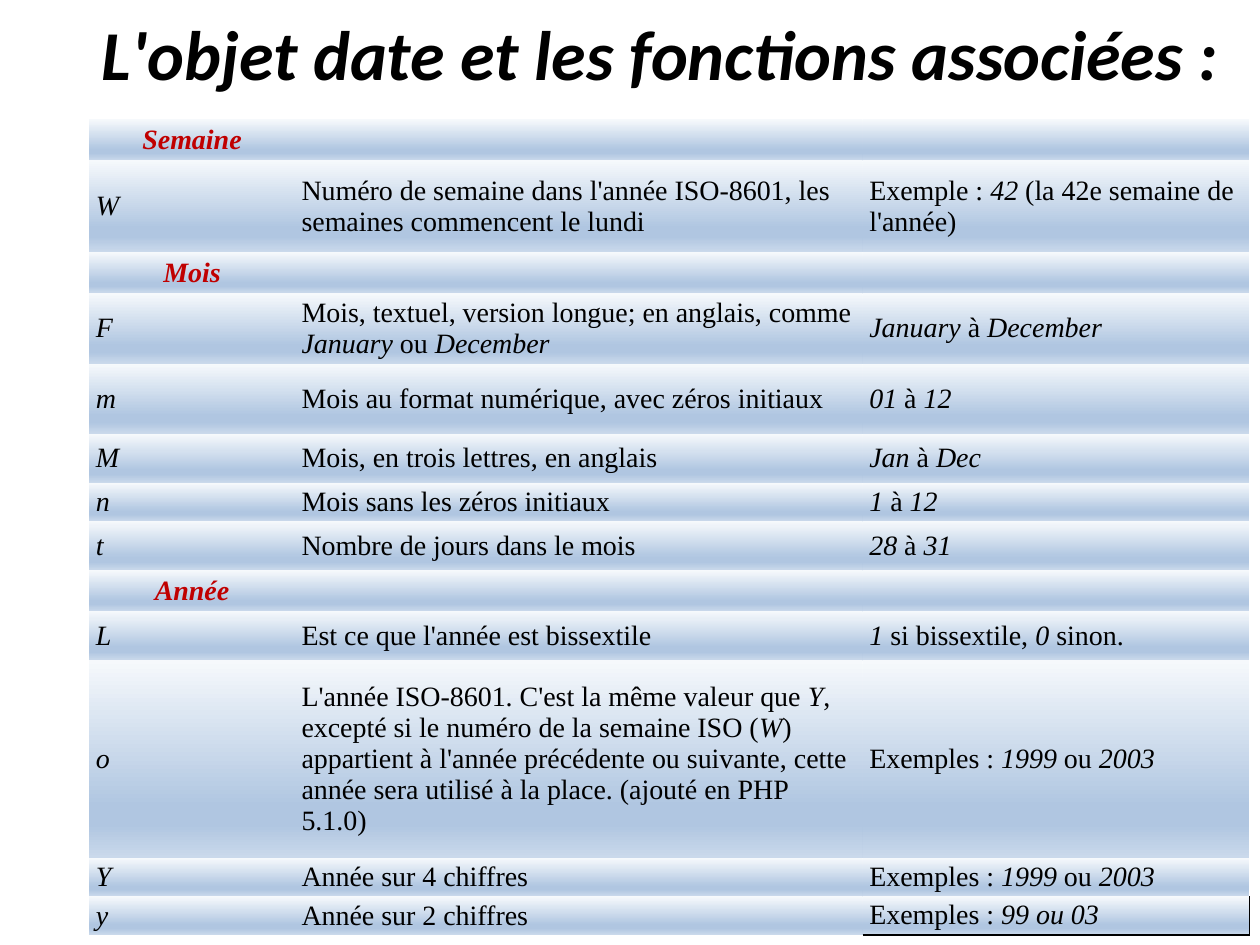
from dataclasses import dataclass

from lxml import etree
from pptx import Presentation
from pptx.dml.color import RGBColor
from pptx.enum.text import MSO_ANCHOR, PP_ALIGN
from pptx.oxml.ns import qn
from pptx.table import _Cell
from pptx.util import Pt

LEFT, CENTER = PP_ALIGN.LEFT, PP_ALIGN.CENTER
TOP, MIDDLE = MSO_ANCHOR.TOP, MSO_ANCHOR.MIDDLE
NO_STYLE = "{2D5ABB26-0587-4C30-8999-92F81FD0307C}"


@dataclass(frozen=True)
class Theme:
    title_font: str = "Calibri"
    table_font: str = "Times New Roman"
    title_size: int = 40
    table_size: int = 16
    text: str = "000000"
    heading: str = "C00000"
    gradient: tuple = ((0, "F6F9FC"), (74, "B0C6E1"), (83, "B0C6E1"), (100, "CAD9EB"))


@dataclass(frozen=True)
class Row:
    height: float
    code: str
    description: str = ""
    example: str = ""

    @property
    def is_heading(self) -> bool:
        return not self.description


THEME = Theme()
COLUMN_WIDTHS = (117.5, 324.5, 221)

# Asterisks enclose the italic parts
ROWS = (
    Row(22, "Semaine"),
    Row(52.5, "W", "Numéro de semaine dans l'année ISO-8601, les semaines commencent le lundi",
        "Exemple : *42* (la 42e semaine de l'année)"),
    Row(22, "Mois"),
    Row(40.5, "F", "Mois, textuel, version longue; en anglais, comme *January* ou *December*",
        "*January* à *December*"),
    Row(40, "m", "Mois au format numérique, avec zéros initiaux", "*01* à *12*"),
    Row(28, "M", "Mois, en trois lettres, en anglais", "*Jan* à *Dec*"),
    Row(22, "n", "Mois sans les zéros initiaux", "*1* à *12*"),
    Row(28, "t", "Nombre de jours dans le mois", "*28* à *31*"),
    Row(22, "Année"),
    Row(28, "L", "Est ce que l'année est bissextile", "*1* si bissextile, *0* sinon."),
    Row(113, "o", "L'année ISO-8601. C'est la même valeur que *Y*, excepté si le numéro de la "
        "semaine ISO (*W*) appartient à l'année précédente ou suivante, cette année sera "
        "utilisé à la place. (ajouté en PHP 5.1.0)", "Exemples : *1999* ou *2003*"),
    Row(22, "Y", "Année sur 4 chiffres", "Exemples : *1999* ou *2003*"),
    Row(22, "y", "Année sur 2 chiffres", "Exemples : *99 ou 03*"),
)


def add_run(paragraph, text: str, font_name: str, size: float, color: str,
            bold: bool, italic: bool) -> None:
    run = paragraph.add_run()
    run.text = text
    font = run.font
    font.name, font.size = font_name, Pt(size)
    font.bold, font.italic = bold, italic
    font.color.rgb = RGBColor.from_string(color)


def add_color(parent, color: str) -> None:
    etree.SubElement(parent, qn("a:srgbClr"), val=color)


def fill_gradient(cell: _Cell) -> None:
    properties = cell._tc.get_or_add_tcPr()
    gradient = etree.SubElement(properties, qn("a:gradFill"), rotWithShape="1")
    stops = etree.SubElement(gradient, qn("a:gsLst"))
    for position, color in THEME.gradient:
        add_color(etree.SubElement(stops, qn("a:gs"), pos=str(position * 1000)), color)
    etree.SubElement(gradient, qn("a:lin"), ang="5400000", scaled="0")


def add_borders(cell: _Cell, sides: tuple[str, ...]) -> None:
    """Borders come before the fill in the cell properties."""
    properties = cell._tc.get_or_add_tcPr()
    for side in sides:
        line = etree.SubElement(properties, qn(f"a:{side}"), w=str(Pt(1)))
        add_color(etree.SubElement(line, qn("a:solidFill")), THEME.text)


def write_cell(cell: _Cell, text: str, heading: bool, italic: bool) -> None:
    cell.margin_left = cell.margin_right = Pt(3.8)
    cell.margin_top = cell.margin_bottom = Pt(1.9)
    cell.vertical_anchor = MIDDLE
    paragraph = cell.text_frame.paragraphs[0]
    paragraph.alignment = CENTER if heading else LEFT
    color = THEME.heading if heading else THEME.text
    for index, part in enumerate(text.split("*")):
        if part:
            add_run(paragraph, part, THEME.table_font, THEME.table_size, color,
                    heading, italic or index % 2 == 1)
    if not text:
        # Keeps an empty cell from stretching its row
        etree.SubElement(paragraph._p, qn("a:endParaRPr"), sz=str(THEME.table_size * 100))


def add_title(slide, text: str) -> None:
    title = slide.shapes.title
    title.left, title.top, title.width, title.height = Pt(51), Pt(2), Pt(672), Pt(56)
    title.text_frame.vertical_anchor = MIDDLE
    paragraph = title.text_frame.paragraphs[0]
    paragraph.alignment = LEFT
    add_run(paragraph, text, THEME.title_font, THEME.title_size, THEME.text, True, True)


def add_format_table(slide, rows: tuple[Row, ...]) -> None:
    frame = slide.shapes.add_table(len(rows), len(COLUMN_WIDTHS), Pt(51), Pt(68.2),
                                   Pt(sum(COLUMN_WIDTHS)), Pt(sum(r.height for r in rows)))
    table = frame.table
    table.first_row = table.horz_banding = False
    table._tbl.tblPr.find(qn("a:tableStyleId")).text = NO_STYLE
    for column, width in zip(table.columns, COLUMN_WIDTHS):
        column.width = Pt(width)
    for row_index, row in enumerate(rows):
        table.rows[row_index].height = Pt(row.height)
        for column_index, text in enumerate((row.code, row.description, row.example)):
            cell = table.cell(row_index, column_index)
            write_cell(cell, text, row.is_heading, column_index == 0)
    # The last cell sits at the top and has a black corner
    last_cell = table.cell(len(rows) - 1, len(COLUMN_WIDTHS) - 1)
    last_cell.vertical_anchor = TOP
    add_borders(last_cell, ("lnR", "lnB"))
    for cell in table.iter_cells():
        fill_gradient(cell)


def main() -> None:
    presentation = Presentation()
    presentation.slide_width, presentation.slide_height = Pt(720), Pt(540)
    slide = presentation.slides.add_slide(presentation.slide_layouts[5])
    add_title(slide, "L'objet date et les fonctions associées :")
    add_format_table(slide, ROWS)
    presentation.save("out.pptx")


if __name__ == "__main__":
    main()
